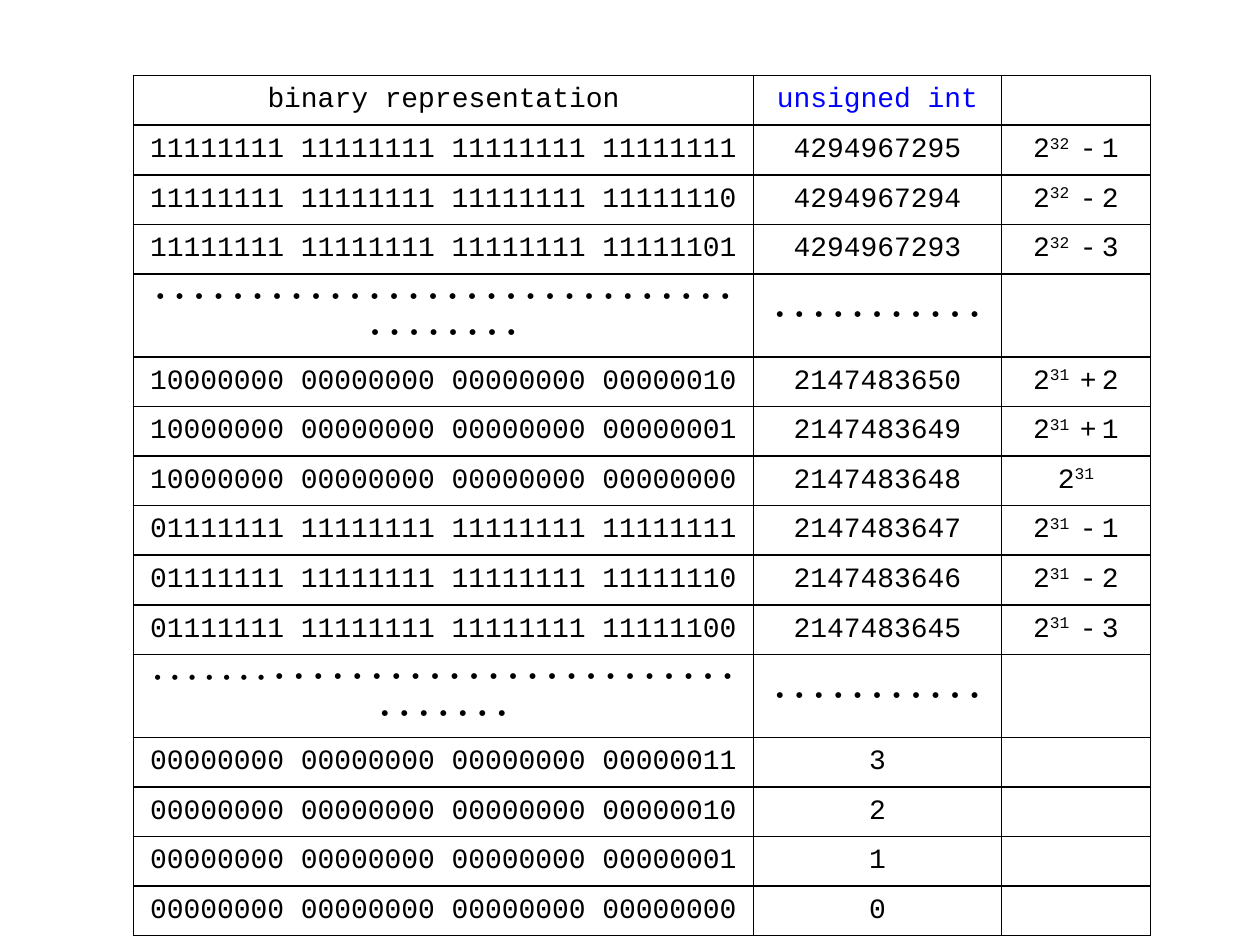
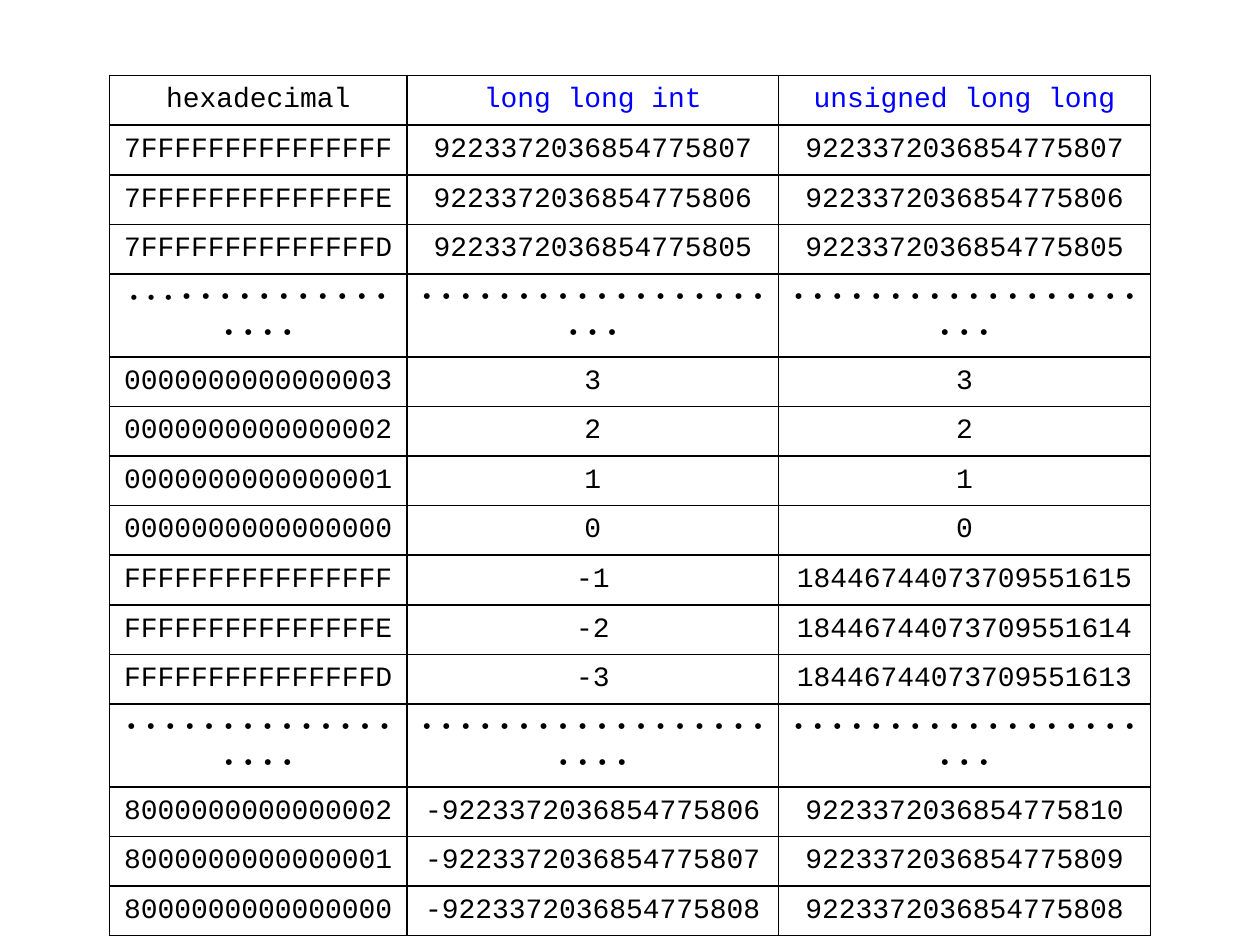
from collections import namedtuple

from lxml.etree import SubElement
from pptx import Presentation
from pptx.dml.color import RGBColor
from pptx.enum.text import MSO_ANCHOR as Anchor, PP_ALIGN as Align
from pptx.oxml.ns import qn
from pptx.util import Inches, Pt

BLACK, BLUE = "000000", "0000FF"
MONO, DOT_FONT = "Courier New", "Cambria"
TOP, TABLE_HEIGHT = 0.6, 6.3

Column = namedtuple("Column", "width title color head_inset inset", defaults=(BLACK, 0.1, 0.1))
Dots = namedtuple("Dots", "count small", defaults=(0,))
Power = namedtuple("Power", "exponent offset")


def rgb(value):
    return RGBColor.from_string(value)


def add_run(p, text, color=BLACK, size=16, name=MONO, bold=False, **attributes):
    """Add a run; extra keywords become attributes of its rPr."""
    r = p.add_run()
    r.text = text
    for key, value in {"size": Pt(size), "name": name, "bold": bold}.items():
        setattr(r.font, key, value)
    r.font.color.rgb = rgb(color)
    rPr = r._r.get_or_add_rPr()
    for tag in ("a:ea", "a:cs"):
        SubElement(rPr, qn(tag), typeface=name)
    for key, value in attributes.items():
        rPr.set(key, str(value))


def add_dots(p, dots):
    """Write a dotted row, its first few dots in the smaller size."""
    style = {"name": DOT_FONT, "bold": True}
    if dots.small:
        add_run(p, "⋅ " * dots.small, **style)
    add_run(p, " ".join("⋅" * (dots.count - dots.small)), size=18, **style)


def add_power(p, power):
    """Write a power of two with a superscript exponent and a spaced offset."""
    add_run(p, "2")
    if not power.offset:
        add_run(p, str(power.exponent), baseline=30000)
        return
    tens, units = str(power.exponent)
    add_run(p, tens, baseline=30000)
    add_run(p, units, baseline=30000, spc=600)
    add_run(p, "+" if power.offset > 0 else "-", spc=300)
    add_run(p, str(abs(power.offset)))


def set_borders(cell):
    tcPr = cell._tc.get_or_add_tcPr()
    for i, side in enumerate(("a:lnL", "a:lnR", "a:lnT", "a:lnB")):
        ln = tcPr.makeelement(qn(side), {"w": str(Pt(1))})
        SubElement(SubElement(ln, qn("a:solidFill")), qn("a:srgbClr"), val=BLACK)
        tcPr.insert(i, ln)


def fill_cell(cell, content, color, inset):
    formats = {
        "vertical_anchor": Anchor.MIDDLE,
        "margin_left": Inches(inset), "margin_right": Inches(inset),
        "margin_top": Inches(0.04), "margin_bottom": Inches(0.04),
    }
    for key, value in formats.items():
        setattr(cell, key, value)
    cell.fill.background()
    set_borders(cell)
    if not content:
        return
    p = cell.text_frame.paragraphs[0]
    p.alignment = Align.CENTER
    before = SubElement(p._p.get_or_add_pPr(), qn("a:spcBef"))
    SubElement(before, qn("a:spcPct"), val="50000")
    if isinstance(content, Dots):
        add_dots(p, content)
    elif isinstance(content, Power):
        add_power(p, content)
    else:
        add_run(p, content, color)


def add_number_slide(prs, left, columns, rows):
    slide = prs.slides.add_slide(prs.slide_layouts[6])
    width = sum(column.width for column in columns)
    table = slide.shapes.add_table(len(rows) + 1, len(columns), Inches(left), Inches(TOP),
                                   Inches(width), Inches(TABLE_HEIGHT)).table
    table.first_row = table.horz_banding = False
    for row in table.rows:
        row.height = Inches(TABLE_HEIGHT / len(table.rows))
    for c, column in enumerate(columns):
        table.columns[c].width = Inches(column.width)
        fill_cell(table.cell(0, c), column.title, column.color, column.head_inset)
        for r, row in enumerate(rows, 1):
            fill_cell(table.cell(r, c), row[c], BLACK, column.inset)


def unsigned_row(value, power=None, bits=None):
    """Row of bit pattern, value and power; bits is the number whose pattern shows."""
    pattern = f"{value if bits is None else bits:032b}"
    octets = " ".join(pattern[i:i + 8] for i in range(0, 32, 8))
    return octets, str(value), power


def power_row(exponent, offset, bits=None):
    return unsigned_row(2 ** exponent + offset, Power(exponent, offset), bits)


def long_row(value):
    signed = value - 2 ** 64 if value >= 2 ** 63 else value
    return f"{value:016X}", str(signed), str(value)


def add_unsigned_int_slide(prs):
    columns = [Column(4.92, "binary representation"),
               Column(1.97, "unsigned int", BLUE, 0.04),
               Column(1.18, "")]
    rows = [
        *(power_row(32, offset) for offset in (-1, -2, -3)),
        (Dots(38), Dots(11), None),
        *(power_row(31, offset) for offset in (2, 1, 0, -1, -2)),
        power_row(31, -3, bits=2 ** 31 - 4),
        (Dots(38, 7), Dots(11), None),
        *(unsigned_row(value) for value in (3, 2, 1, 0)),
    ]
    add_number_slide(prs, 1.06, columns, rows)


def add_long_long_slide(prs):
    columns = [Column(2.36, "hexadecimal"),
               Column(2.95, "long long int", BLUE),
               Column(2.95, "unsigned long long", BLUE, 0.04, 0.08)]
    rows = [
        *(long_row(2 ** 63 - n) for n in (1, 2, 3)),
        (Dots(18, 3), Dots(21), Dots(21)),
        *(long_row(n) for n in (3, 2, 1, 0)),
        *(long_row(2 ** 64 - n) for n in (1, 2, 3)),
        (Dots(18), Dots(22), Dots(21)),
        *(long_row(2 ** 63 + n) for n in (2, 1, 0)),
    ]
    add_number_slide(prs, 0.87, columns, rows)


def main():
    prs = Presentation()
    prs.slide_width, prs.slide_height = Inches(10), Inches(7.5)
    add_unsigned_int_slide(prs)
    add_long_long_slide(prs)
    prs.save("out.pptx")


if __name__ == "__main__":
    main()
